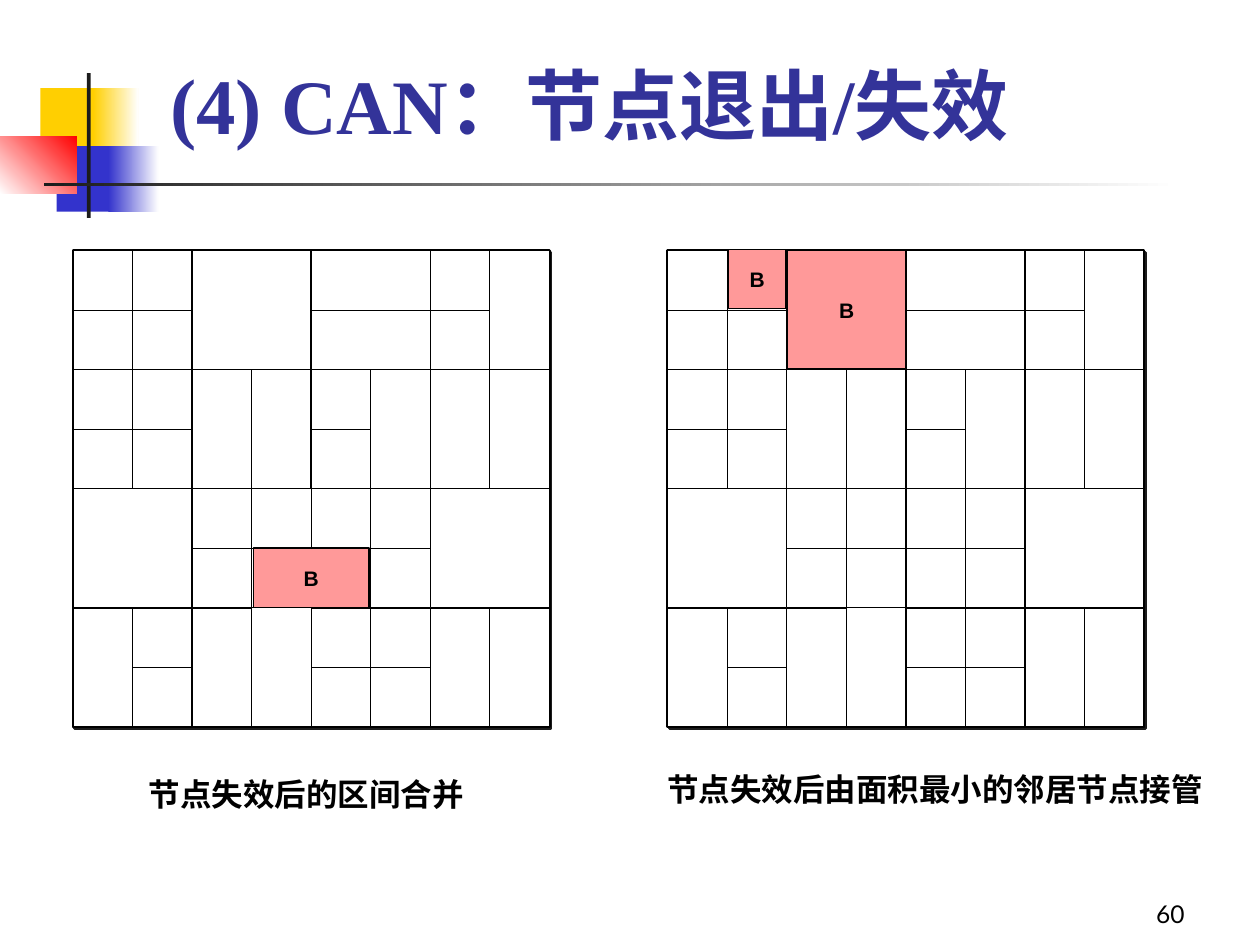
from dataclasses import dataclass

from lxml import etree
from pptx import Presentation
from pptx import util as u
from pptx.dml import color
from pptx.enum import shapes, text
from pptx.oxml import ns


@dataclass(frozen=True)
class Theme:
    ink: str = "000000"
    paper: str = "FFFFFF"
    zone_b: str = "FF9999"
    title: str = "333399"
    yellow: str = "FFCF01"
    blue: str = "3333CC"
    red: str = "FF0000"
    charcoal: str = "1C1C1C"
    title_font: str = "Times New Roman"
    body_font: str = "Arial"
    number_font: str = "Lato"
    title_number_size: int = 45
    title_size: int = 44
    caption_size: int = 18
    number_size: int = 14
    zone_size: int = 12


THEME = Theme()
ZONE_SIDE = 0.4725
BOARD_TOP = 1.99
BOARD_LEFTS = (0.58, 5.3)

ZONES_BY_SIZE = {
    (1, 1): [
        (0, 0), (0, 1), (0, 2), (0, 3), (1, 0), (1, 1), (1, 2), (1, 3),
        (1, 6), (1, 7), (2, 4), (3, 5), (4, 2), (4, 3), (4, 4), (4, 5),
        (4, 6), (4, 7), (5, 4), (5, 5), (5, 6), (5, 7), (6, 0), (6, 1),
    ],
    (1, 2): [
        (0, 6), (2, 2), (2, 6), (3, 2), (5, 2),
        (6, 2), (6, 6), (7, 0), (7, 2), (7, 6),
    ],
    (2, 1): [(4, 0), (4, 1)],
    (2, 2): [(0, 4), (2, 0), (6, 4)],
}


def rgb(value):
    return color.RGBColor.from_string(value)


def apply(target, values):
    for name, value in values.items():
        setattr(target, name, value)


def write_run(paragraph, words, size, font, ink=THEME.ink, bold=True):
    run = paragraph.add_run()
    run.text = words
    apply(run.font, {"size": u.Pt(size), "name": font, "bold": bold})
    run.font.color.rgb = rgb(ink)


def add_block(parent, box, fill, line_width=None, fade_to=None, angle=0):
    block = parent.add_shape(shapes.MSO_SHAPE.RECTANGLE, *map(u.Inches, box))
    block.shadow.inherit = False
    if fade_to:
        block.fill.gradient()
        block.fill.gradient_angle = angle
        for stop, tint in zip(block.fill.gradient_stops, (fill, fade_to)):
            stop.color.rgb = rgb(tint)
    else:
        block.fill.solid()
        block.fill.fore_color.rgb = rgb(fill)
    if line_width:
        block.line.color.rgb = rgb(THEME.ink)
        block.line.width = u.Pt(line_width)
    else:
        block.line.fill.background()
    return block


def cast_shadow(block):
    effects = block.element.spPr.find(ns.qn("a:effectLst"))
    shadow = etree.SubElement(effects, ns.qn("a:outerShdw"),
                              dist=str(u.Pt(1.4)), dir="2700000",
                              algn="ctr", rotWithShape="0")
    etree.SubElement(shadow, ns.qn("a:srgbClr"), val=THEME.charcoal)


def add_board(slide, left):
    board = slide.shapes.add_group_shape().shapes
    side = 8 * ZONE_SIDE
    cast_shadow(add_block(board, (left, BOARD_TOP, side, side), THEME.paper, 1.5))
    for (columns, rows), places in ZONES_BY_SIZE.items():
        for column, row in places:
            box = (left + column * ZONE_SIDE, BOARD_TOP + row * ZONE_SIDE,
                   columns * ZONE_SIDE, rows * ZONE_SIDE)
            add_block(board, box, THEME.paper, 0.75)


def add_zone_b(slide, box):
    zone = add_block(slide.shapes, box, THEME.zone_b, 0.75)
    apply(zone.text_frame, {"word_wrap": False,
                            "vertical_anchor": text.MSO_ANCHOR.MIDDLE})
    paragraph = zone.text_frame.paragraphs[0]
    paragraph.alignment = text.PP_ALIGN.CENTER
    write_run(paragraph, "B", THEME.zone_size, THEME.body_font)


def add_label(slide, box, words, size, font, align, anchor, bold):
    frame = slide.shapes.add_textbox(*map(u.Inches, box)).text_frame
    apply(frame, {"word_wrap": True, "vertical_anchor": anchor})
    paragraph = frame.paragraphs[0]
    paragraph.alignment = align
    write_run(paragraph, words, size, font, bold=bold)


def add_caption(slide, box, words):
    add_label(slide, box, words, THEME.caption_size, THEME.body_font,
              text.PP_ALIGN.CENTER, text.MSO_ANCHOR.TOP, True)


def add_ornament(slide):
    t = THEME
    pieces = [
        ((0.32, 0.7, 0.48, 0.52), t.yellow, {}),
        ((0.74, 0.7, 0.36, 0.52), t.yellow, {"fade_to": t.paper}),
        ((0.45, 1.16, 0.46, 0.52), t.blue, {}),
        ((0.86, 1.16, 0.4, 0.52), t.blue, {"fade_to": t.paper}),
        ((0, 1.08, 0.61, 0.46), t.paper, {"fade_to": t.red, "angle": 45}),
        ((0.69, 0.58, 0.03, 1.15), t.charcoal, {}),
        ((0.35, 1.45, 9, 0.03), t.charcoal, {"fade_to": t.paper}),
    ]
    for box, fill, fade in pieces:
        add_block(slide.shapes, box, fill, **fade)


def set_title(slide):
    title = slide.shapes.title
    apply(title, {"left": u.Inches(1.25), "top": u.Inches(0.39),
                  "width": u.Inches(8.52), "height": u.Inches(0.85)})
    apply(title.text_frame, {"word_wrap": True,
                             "vertical_anchor": text.MSO_ANCHOR.BOTTOM})
    paragraph = title.text_frame.paragraphs[0]
    paragraph.alignment = text.PP_ALIGN.LEFT
    for words, size in (("(4)", THEME.title_number_size),
                        (" CAN：节点退出/失效", THEME.title_size)):
        write_run(paragraph, words, size, THEME.title_font, THEME.title)


def main():
    deck = Presentation()
    apply(deck, {"slide_width": u.Inches(10), "slide_height": u.Inches(7.5)})
    slide = deck.slides.add_slide(deck.slide_layouts[5])
    set_title(slide)
    add_ornament(slide)
    for left in BOARD_LEFTS:
        add_board(slide, left)
    for box in ((2.01, 4.35, 0.92, 0.47), (5.78, 1.98, 0.46, 0.47),
                (6.25, 1.99, 0.94, 0.94)):
        add_zone_b(slide, box)
    add_caption(slide, (0.67, 6.1, 3.58, 0.4), "节点失效后的区间合并 ")
    add_caption(slide, (5.17, 6.06, 4.5, 0.4), "节点失效后由面积最小的邻居节点接管")
    add_label(slide, (7.42, 6.92, 2.08, 0.5), "60", THEME.number_size,
              THEME.number_font, text.PP_ALIGN.RIGHT, text.MSO_ANCHOR.BOTTOM, False)
    deck.save("out.pptx")


if __name__ == "__main__":
    main()
